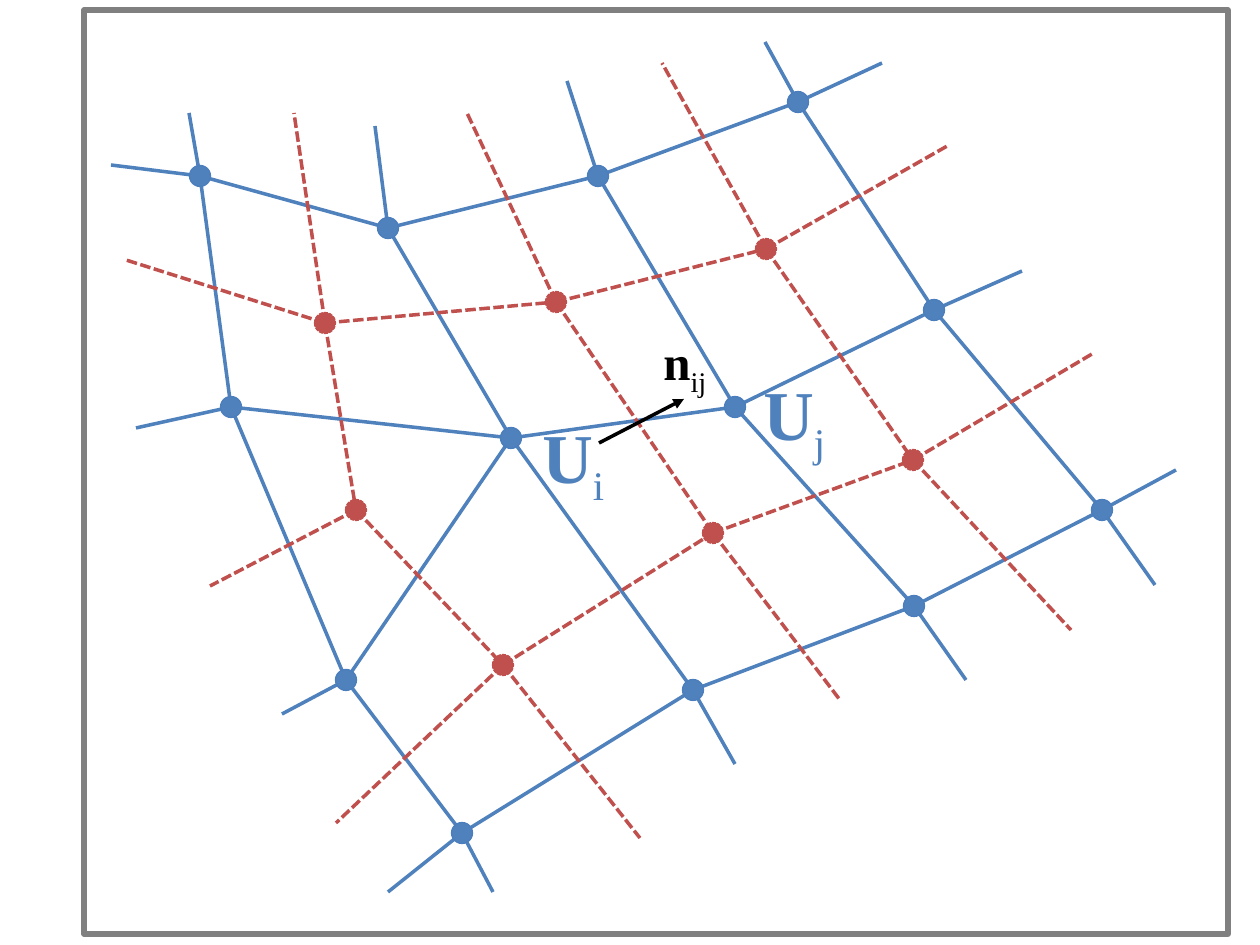
from itertools import pairwise

from lxml.etree import SubElement
from pptx import Presentation
from pptx.dml.color import RGBColor
from pptx.enum.dml import MSO_LINE
from pptx.enum.shapes import MSO_CONNECTOR, MSO_SHAPE
from pptx.enum.text import MSO_AUTO_SIZE
from pptx.oxml.ns import qn
from pptx.util import Inches, Pt

SCALE = Inches(1) / 126
BLUE, BLUE_RIM, RED, GREY, BLACK, WHITE = (
    "4F81BD", "4B7EBC", "C0504D", "808080", "000000", "FFFFFF")
DOT = 21

# Node positions, chains of linked nodes and open ends, in pixels from the frame corner
PRIMAL = dict(
    nodes={
        "A": (116, 166), "B": (304, 218), "C": (514, 166), "D": (714, 92),
        "E": (147, 397), "F": (427, 428), "G": (651, 397), "H": (850, 300),
        "I": (262, 670), "J": (609, 680), "K": (830, 596), "L": (1018, 500),
        "M": (378, 823),
    },
    chains=["ABCD", "EFGH", "MJKL", "AEIM", "BFJ", "CGK", "DHL", "FI"],
    open_ends=[
        ("A", 27, 155), ("A", 105, 103), ("B", 291, 116), ("C", 483, 71),
        ("D", 681, 32), ("D", 798, 53), ("E", 52, 418), ("H", 938, 261),
        ("I", 198, 704), ("J", 651, 754), ("K", 882, 670), ("L", 1071, 575),
        ("L", 1092, 460), ("M", 304, 882), ("M", 409, 882),
    ],
)
DUAL = dict(
    nodes={
        "a": (241, 313), "b": (472, 292), "c": (682, 239), "d": (272, 500),
        "e": (629, 523), "f": (829, 450), "g": (419, 655),
    },
    chains=["abc", "adg", "be", "gef", "cf"],
    open_ends=[
        ("a", 42, 250), ("a", 210, 103), ("b", 383, 103), ("c", 578, 53),
        ("c", 865, 135), ("d", 126, 576), ("e", 756, 690), ("f", 987, 620),
        ("f", 1008, 344), ("g", 252, 813), ("g", 556, 828),
    ],
)


def px(*lengths):
    return [round(length * SCALE) for length in lengths]


def rgb(color):
    return RGBColor.from_string(color)


def set_line(line, color, width, dash=None):
    line.color.rgb = rgb(color)
    line.width = Pt(width)
    if dash:
        line.dash_style = dash


def add_solid(shapes, kind, box, fill, rim, width, dash=None):
    solid = shapes.add_shape(kind, *px(*box))
    solid.shadow.inherit = False
    solid.fill.solid()
    solid.fill.fore_color.rgb = rgb(fill)
    set_line(solid.line, rim, width, dash)


def add_segment(shapes, start, end, color, dash=None):
    segment = shapes.add_connector(MSO_CONNECTOR.STRAIGHT, *px(*start, *end))
    set_line(segment.line, color, 2, dash)
    SubElement(segment._element.spPr, qn("a:effectLst"))
    return segment


def add_mesh(shapes, frame, mesh, color, rim, dash=None):
    left, top = frame[:2]
    mesh_parts = shapes.add_group_shape().shapes
    nodes = {key: (left + x, top + y) for key, (x, y) in mesh["nodes"].items()}

    # Edges between nodes, then edges that run out of the mesh
    edges = [(nodes[p], nodes[q]) for chain in mesh["chains"] for p, q in pairwise(chain)]
    edges += [(nodes[key], (left + x, top + y)) for key, x, y in mesh["open_ends"]]
    for start, end in edges:
        add_segment(mesh_parts, start, end, color, dash)

    # Nodes on top of the edges
    for x, y in nodes.values():
        add_solid(mesh_parts, MSO_SHAPE.OVAL, (x - DOT / 2, y - DOT / 2, DOT, DOT),
                  color, rim, 0.75, dash)


def add_symbol(shapes, box, letter, index, size, color):
    symbol = shapes.add_textbox(*px(*box)).text_frame
    symbol.word_wrap = False
    symbol.auto_size = MSO_AUTO_SIZE.SHAPE_TO_FIT_TEXT
    for text, is_index in ((letter, False), (index, True)):
        run = symbol.paragraphs[0].add_run()
        run.text = text
        run.font.name = "Times New Roman"
        run.font.size = Pt(size)
        run.font.bold = not is_index
        run.font.color.rgb = rgb(color)
        if is_index:
            run._r.get_or_add_rPr().set("baseline", "-25000")


def add_labels(shapes, frame):
    left, top = frame[:2]
    # State vectors of the two cells
    add_symbol(shapes, (left + 446, top + 397, 89, 97), "U", "i", 40, BLUE)
    add_symbol(shapes, (left + 667, top + 354, 89, 97), "U", "j", 40, BLUE)

    # Normal vector across the shared face
    normal = add_segment(shapes, (left + 515, top + 433), (left + 600, top + 389), BLACK)
    SubElement(normal.line._get_or_add_ln(), qn("a:tailEnd"), type="triangle")
    add_symbol(shapes, (left + 567, top + 315, 72, 72), "n", "ij", 28, BLACK)


def build_mesh_slide(presentation, frame):
    shapes = presentation.slides.add_slide(presentation.slide_layouts[6]).shapes
    add_solid(shapes, MSO_SHAPE.RECTANGLE, frame, WHITE, GREY, 3)
    add_mesh(shapes, frame, PRIMAL, BLUE, BLUE_RIM)
    add_mesh(shapes, frame, DUAL, RED, RED, MSO_LINE.SQUARE_DOT)
    add_labels(shapes, frame)


presentation = Presentation()
presentation.slide_width, presentation.slide_height = px(1260, 945)
build_mesh_slide(presentation, (84, 10, 1144, 924))
presentation.save("out.pptx")
